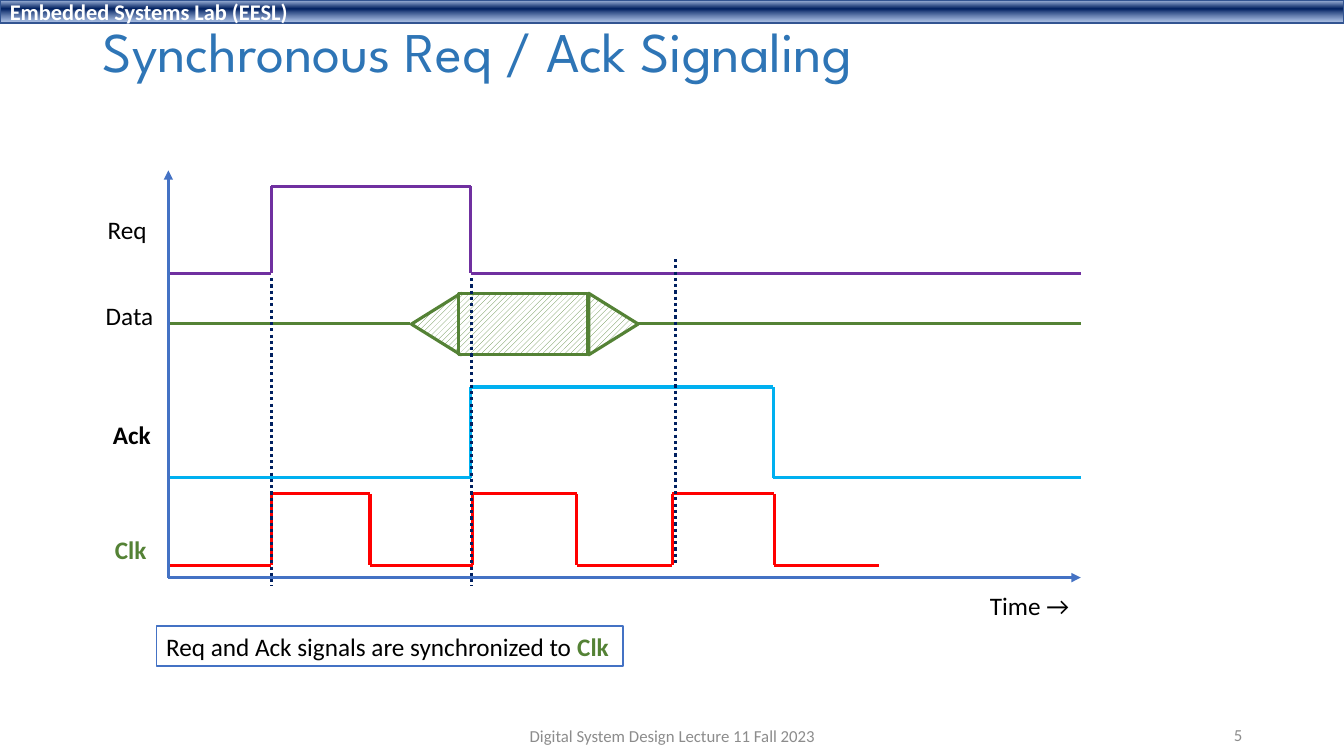
from dataclasses import dataclass

import pptx
import pptx.dml.color
import pptx.enum.dml
import pptx.enum.shapes
import pptx.enum.text
import pptx.oxml
import pptx.oxml.ns
import pptx.util

Inches = pptx.util.Inches
Pt = pptx.util.Pt
RGBColor = pptx.dml.color.RGBColor
SHAPE = pptx.enum.shapes.MSO_SHAPE
ALIGN = pptx.enum.text.PP_ALIGN
ANCHOR = pptx.enum.text.MSO_ANCHOR
AUTO_SIZE = pptx.enum.text.MSO_AUTO_SIZE
DASH = pptx.enum.dml.MSO_LINE

WHITE = RGBColor(0xFF, 0xFF, 0xFF)
BLACK = RGBColor(0, 0, 0)
GRAY = RGBColor(0x8C, 0x8C, 0x8C)
NAVY = RGBColor(0x00, 0x20, 0x60)
BLUE = RGBColor(0x44, 0x72, 0xC4)
BANNER_EDGE = RGBColor(0x32, 0x54, 0x91)
TITLE_BLUE = RGBColor(0x2E, 0x75, 0xB6)
RED = RGBColor(0xFF, 0, 0)
CYAN = RGBColor(0x00, 0xB0, 0xF0)
GREEN = RGBColor(0x54, 0x82, 0x35)
PURPLE = RGBColor(0x70, 0x30, 0xA0)

AXIS_X, AXIS_Y, AXIS_TOP, AXIS_END = 1.67, 5.73, 1.69, 10.72
DATA_Y = 3.21


@dataclass
class Wave:
    """A signal that starts low and toggles at every edge."""
    color: RGBColor
    high: float
    low: float
    edges: list[float]
    end: float = AXIS_END


@dataclass
class Label:
    text: str
    left: float
    top: float
    width: float
    height: float = 0.4
    size: float = 18
    color: RGBColor = BLACK
    bold: bool = False
    font: str = "Calibri"
    align: ALIGN = ALIGN.LEFT
    anchor: ANCHOR = ANCHOR.TOP
    wrap: bool = False


WAVES = {
    "Clk": Wave(RED, 4.9, 5.61, [2.69, 3.67, 4.69, 5.72, 6.67, 7.68], 8.72),
    "Ack": Wave(CYAN, 3.84, 4.74, [4.67, 7.67]),
    "Req": Wave(PURPLE, 1.85, 2.71, [2.69, 4.67]),
}
CLOCK_GUIDES = [(2.69, 2.76, 5.81), (4.68, 2.76, 5.81), (6.7, 2.57, 5.61)]
TITLE = Label("Synchronous Req / Ack Signaling", 0.92, 0.15, 11.5, 0.77, 40, TITLE_BLUE,
              font="League Spartan", anchor=ANCHOR.MIDDLE, wrap=True)
AXIS_LABELS = [
    Label("Time →", 9.72, 5.81, 1),
    Label("Req", 0.97, 2.08, 0.59),
    Label("Data", 0.95, 2.93, 0.68),
    Label("Ack", 1.02, 4.11, 0.58, bold=True),
    Label("Clk", 1.04, 5.25, 0.52, color=GREEN, bold=True),
]
FOOTERS = [
    Label("Digital System Design Lecture 11 Fall 2023", 4.42, 7.1, 4.5, size=12, color=GRAY,
          align=ALIGN.CENTER, anchor=ANCHOR.MIDDLE, wrap=True),
    Label("5", 9.42, 7.09, 3, size=12, color=GRAY,
          align=ALIGN.RIGHT, anchor=ANCHOR.MIDDLE, wrap=True),
]


def add_line(slide, start: tuple, finish: tuple, color: RGBColor,
             dash=None, arrow: bool = False) -> None:
    line = slide.shapes.add_connector(
        pptx.enum.shapes.MSO_CONNECTOR.STRAIGHT, *map(Inches, start + finish))
    line.line.color.rgb = color
    line.line.width = Pt(2.25)
    if dash is not None:
        line.line.dash_style = dash
    if arrow:
        tail = pptx.oxml.parse_xml(
            f'<a:tailEnd {pptx.oxml.ns.nsdecls("a")} type="triangle"/>')
        line.line._get_or_add_ln().append(tail)
    line._element.spPr.append(
        pptx.oxml.parse_xml(f'<a:effectLst {pptx.oxml.ns.nsdecls("a")}/>'))


def add_wave(slide, wave: Wave) -> None:
    points = [(AXIS_X, wave.low)]
    level, other = wave.low, wave.high
    for edge in wave.edges:
        points += [(edge, level), (edge, other)]
        level, other = other, level
    points.append((wave.end, level))
    for start, finish in zip(points, points[1:]):
        add_line(slide, start, finish, wave.color)


def add_outlined(slide, kind: SHAPE, box: tuple, edge: RGBColor, width: float):
    shape = slide.shapes.add_shape(kind, *map(Inches, box))
    shape.shadow.inherit = False
    shape.line.color.rgb = edge
    shape.line.width = Pt(width)
    return shape


def add_hatched(slide, kind: SHAPE, box: tuple, rotation: float = 0) -> None:
    shape = add_outlined(slide, kind, box, GREEN, 2.25)
    shape.rotation = rotation
    shape.fill.patterned()
    shape.fill.pattern = pptx.enum.dml.MSO_PATTERN.WIDE_UPWARD_DIAGONAL
    shape.fill.fore_color.rgb = GREEN
    shape.fill.back_color.rgb = WHITE


def write_label(shape, label: Label):
    frame = shape.text_frame
    frame.word_wrap = label.wrap
    frame.auto_size = AUTO_SIZE.NONE if label.wrap else AUTO_SIZE.SHAPE_TO_FIT_TEXT
    frame.vertical_anchor = label.anchor
    line = frame.paragraphs[0]
    line.text = label.text
    line.alignment = label.align
    line.font.name = label.font
    line.font.size = Pt(label.size)
    line.font.bold = label.bold
    line.font.color.rgb = label.color
    return line


def add_label(slide, label: Label):
    box = (label.left, label.top, label.width, label.height)
    return write_label(slide.shapes.add_textbox(*map(Inches, box)), label)


def add_banner(slide) -> None:
    label = Label("Embedded Systems Lab (EESL)", 0, 0, 13.33, 0.23, 16, WHITE, True,
                  anchor=ANCHOR.MIDDLE, wrap=True)
    banner = add_outlined(slide, SHAPE.RECTANGLE, (0, 0, 13.33, 0.23), BANNER_EDGE, 1)
    banner.fill.gradient()
    gradient = banner._element.spPr.find(pptx.oxml.ns.qn("a:gradFill"))
    gradient.getparent().replace(gradient, pptx.oxml.parse_xml(
        f'<a:gradFill {pptx.oxml.ns.nsdecls("a")} rotWithShape="1"><a:gsLst>'
        '<a:gs pos="2000"><a:srgbClr val="ABC0E4"/></a:gs>'
        '<a:gs pos="38000"><a:srgbClr val="002060"/></a:gs>'
        '<a:gs pos="93000"><a:srgbClr val="7E9ED6"><a:alpha val="64000"/></a:srgbClr></a:gs>'
        '</a:gsLst><a:lin ang="5400000" scaled="0"/></a:gradFill>'))
    write_label(banner, label)


def add_data_signal(slide) -> None:
    add_line(slide, (AXIS_X, DATA_Y), (4.07, DATA_Y), GREEN)
    add_hatched(slide, SHAPE.ISOSCELES_TRIANGLE, (4.02, 2.97, 0.61, 0.49), 270)
    add_hatched(slide, SHAPE.RECTANGLE, (4.55, 2.91, 1.28, 0.61))
    add_hatched(slide, SHAPE.ISOSCELES_TRIANGLE, (5.78, 2.97, 0.61, 0.49), 90)
    add_line(slide, (6.33, DATA_Y), (AXIS_END, DATA_Y), GREEN)


def add_note(slide) -> None:
    box = (1.55, 6.21, 4.63, 0.4)
    note = add_outlined(slide, SHAPE.RECTANGLE, box, BLUE, 1)
    note.fill.solid()
    note.fill.fore_color.rgb = WHITE
    sentence = write_label(note, Label("Req and Ack signals are synchronized to ", *box))
    clock = sentence.add_run()
    clock.text = "Clk"
    clock.font.bold = True
    clock.font.color.rgb = GREEN


def main() -> None:
    deck = pptx.Presentation()
    deck.slide_width, deck.slide_height = Inches(13.33), Inches(7.5)
    slide = deck.slides.add_slide(deck.slide_layouts[6])

    # Heading
    add_banner(slide)
    add_label(slide, TITLE).line_spacing = 0.9

    # Signals
    add_wave(slide, WAVES["Clk"])
    add_wave(slide, WAVES["Ack"])
    add_data_signal(slide)
    add_wave(slide, WAVES["Req"])

    # Clock edge guides and axes
    for x, top, bottom in CLOCK_GUIDES:
        add_line(slide, (x, top), (x, bottom), NAVY, dash=DASH.ROUND_DOT)
    for tip in [(AXIS_X, AXIS_TOP), (AXIS_END, AXIS_Y)]:
        add_line(slide, (AXIS_X, AXIS_Y), tip, BLUE, arrow=True)

    # Labels, note and footer
    for label in AXIS_LABELS:
        add_label(slide, label)
    add_note(slide)
    for footer in FOOTERS:
        add_label(slide, footer)

    deck.save("out.pptx")


if __name__ == "__main__":
    main()
